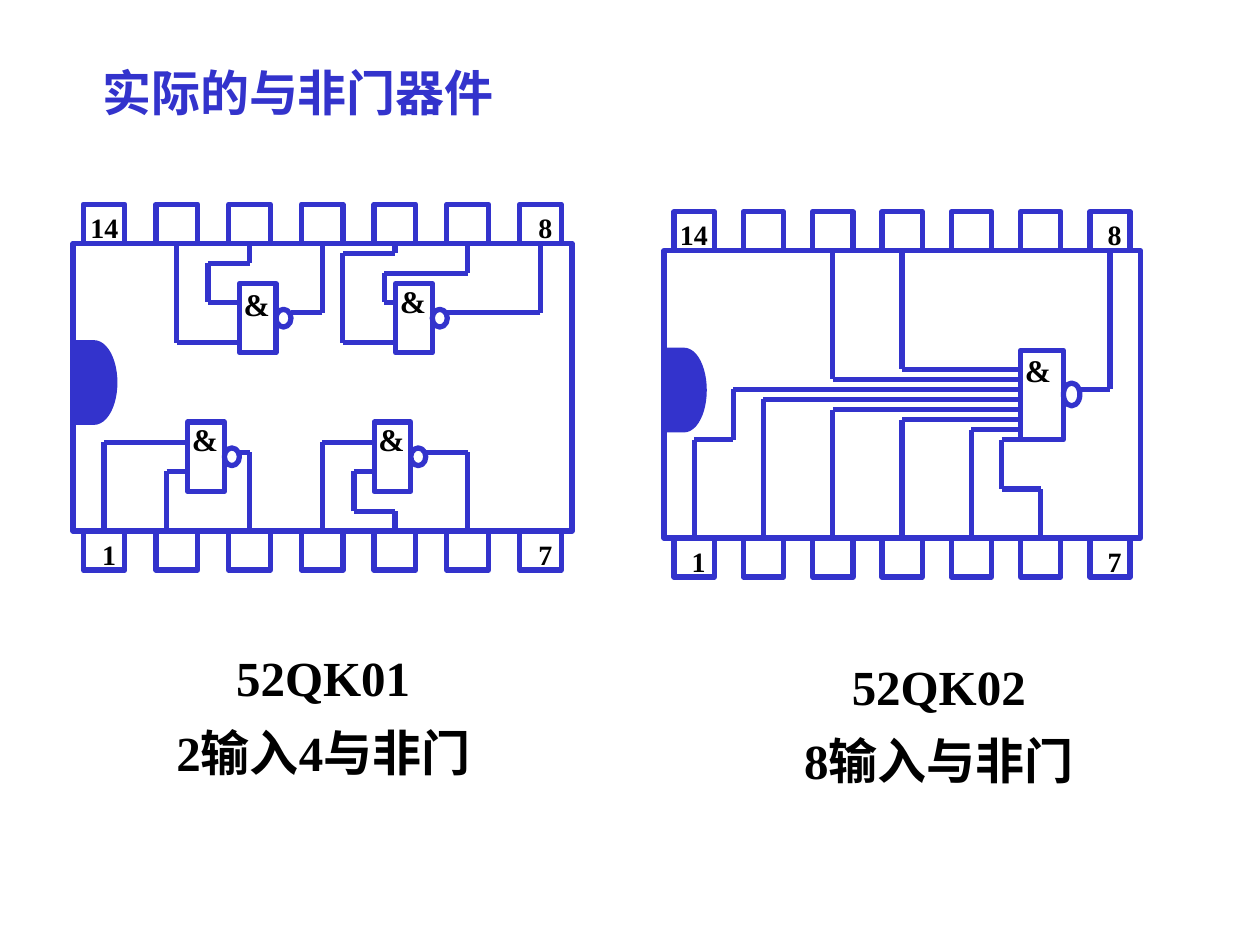
import pptx
import pptx.util
import pptx.dml.color
import pptx.enum.shapes
import pptx.enum.text
import pptx.oxml.ns
import lxml.etree

Pt = pptx.util.Pt
SHAPE = pptx.enum.shapes.MSO_SHAPE
ALIGN = pptx.enum.text.PP_ALIGN
ANCHOR = pptx.enum.text.MSO_ANCHOR
COLORS = {"ink": "3333CC", "text": "000000", "paper": "FFFFFF"}
FONT = "Times New Roman"
PINS_PER_SIDE = 7
PIN_HEIGHT = 22.3

TITLE = ("实际的与非门器件", (38.9, 28.8, 262.8, 47.5))
CAPTIONS = [
    (["52QK01", "2输入4与非门"], (82.1, 366.5, 205.2, 91.4)),
    (["52QK02", "8输入与非门"], (448.6, 371.5, 175.7, 91.4)),
]
CHIPS = [
    {
        "body": (41.8, 139, 285.1, 164.5),
        "notch": (23.8, 45.4),
        "pin_width": 23.8,
        "pitch": 41.55,
        "label_width": 29.5,
        "gate": (20.9, 39.6),
        "bubble": (14.8, 8.6, 10.1),
        "gates": [(107.3, 241.2, 5), (226.1, 162, 4.3),
                  (136.8, 162, 2.9), (213.8, 241.2, 5)],
        "wires": {
            "top": [
                (1, [195.8, 136.8]),
                (2, [150.5, 118.8, 172.8, 136.8]),
                (3, [178.6, 166.3]),
                (4, [144.7, 195.8, 195.8, 226.1]),
                (5, [156.2, 219.6, 172.8, 226.1]),
                (6, [178.6, 255.6]),
            ],
            "bottom": [
                (0, [252.7, 107.3]),
                (0.86, [269.3, 107.3]),
                (2, [258.5, 136.8]),
                (3, [252.7, 213.8]),
                (4, [292.3, 202.3, 269.3, 213.8]),
                (5, [258.5, 243.4]),
            ],
        },
    },
    {
        "body": (379.4, 143.3, 272.2, 164.2),
        "notch": (23, 45.4),
        "pin_width": 23,
        "pitch": 39.6,
        "label_width": 28.1,
        "gate": (24.5, 51.1),
        "bubble": (18.7, 9.4, 13),
        "gates": [(583.2, 200.2, 2.9)],
        "wires": {
            "top": [
                (2, [216.7, 583.2]),
                (3, [211, 583.2]),
                (6, [222.5, 617.8]),
            ],
            "bottom": [
                (0, [251.3, 419, 222.5, 583.2]),
                (1, [228.2, 583.2]),
                (2, [234, 583.2]),
                (3, [239.8, 583.2]),
                (4, [245.5, 583.2]),
                (5, [279.4, 572.4, 251.3, 583.2]),
            ],
        },
    },
]


def rgb(name):
    """Return a named colour."""
    return pptx.dml.color.RGBColor.from_string(COLORS[name])


def write(sp, lines, size, color="text", align=ALIGN.CENTER, anchor=ANCHOR.TOP, gap=9):
    """Put formatted paragraphs into a shape."""
    tf = sp.text_frame
    tf.word_wrap = True
    tf.vertical_anchor = anchor
    for i, line in enumerate(lines):
        p = tf.paragraphs[0] if i == 0 else tf.add_paragraph()
        p.alignment = align
        p.space_before = Pt(gap if i else 0)
        r = p.add_run()
        r.text = line
        for key, value in {"name": FONT, "size": Pt(size), "bold": True}.items():
            setattr(r.font, key, value)
        r.font.color.rgb = rgb(color)


def add_shape(shapes, kind, box, filled=False, line="ink", width=3):
    """Add an outlined preset shape."""
    sp = shapes.add_shape(kind, *map(Pt, box))
    sp.shadow.inherit = False
    if filled:
        sp.fill.solid()
        sp.fill.fore_color.rgb = rgb("ink")
    else:
        sp.fill.background()
    sp.line.color.rgb = rgb(line)
    sp.line.width = Pt(width)
    return sp


def add_label(shapes, text, box, size, align=ALIGN.CENTER):
    """Add a small text box."""
    sp = shapes.add_textbox(*map(Pt, box))
    write(sp, [text], size, align=align)


def add_wire(shapes, x, y, stops):
    """Draw a wire that alternates vertical and horizontal runs."""
    for i, stop in enumerate(stops):
        end = (stop, y) if i % 2 else (x, stop)
        cx = shapes.add_connector(pptx.enum.shapes.MSO_CONNECTOR.STRAIGHT,
                                  *map(Pt, (x, y, *end)))
        cx.line.color.rgb = rgb("ink")
        cx.line.width = Pt(3)
        sp_pr = cx.element.find(pptx.oxml.ns.qn("p:spPr"))
        lxml.etree.SubElement(sp_pr, pptx.oxml.ns.qn("a:effectLst"))
        x, y = end


def add_chip(s, chip):
    """Draw one chip with its pins, gates and wires."""
    shapes = s.shapes.add_group_shape().shapes
    left, top, width, height = chip["body"]
    notch_w, notch_h = chip["notch"]
    pin_w, pitch, label_w = chip["pin_width"], chip["pitch"], chip["label_width"]
    first, last = left + 5.8, left + 5.8 + pitch * (PINS_PER_SIDE - 1)
    edges = {"top": top, "bottom": top + height}
    rows = {"top": top - PIN_HEIGHT, "bottom": top + height}

    add_shape(shapes, SHAPE.RECTANGLE, chip["body"])
    add_shape(shapes, SHAPE.FLOWCHART_DELAY,
              (left, top + 56.9, notch_w, notch_h), filled=True)
    for y in rows.values():
        for i in range(PINS_PER_SIDE):
            add_shape(shapes, SHAPE.RECTANGLE, (first + i * pitch, y, pin_w, PIN_HEIGHT))
    for text, x, row, w in [("1", first, "bottom", label_w), ("7", last, "bottom", label_w),
                            ("14", first - 11.5, "top", label_w + 17.6),
                            ("8", last, "top", label_w)]:
        add_label(shapes, text, (x, rows[row], w, 26.6), 16)

    gate_w, gate_h = chip["gate"]
    drop, bubble_w, bubble_h = chip["bubble"]
    for x, y, rise in chip["gates"]:
        add_shape(shapes, SHAPE.RECTANGLE, (x, y, gate_w, gate_h))
        add_shape(shapes, SHAPE.OVAL, (x + gate_w, y + drop, bubble_w, bubble_h))
    for side, wires in chip["wires"].items():
        for pin, stops in wires:
            add_wire(shapes, first + pin_w / 2 + pin * pitch, edges[side], stops)
    for x, y, rise in chip["gates"]:
        add_label(shapes, "&", (x - 4.7, y - rise, 42.5, 29.5), 18, ALIGN.LEFT)


def main():
    """Build the slide of NAND gate devices."""
    prs = pptx.Presentation()
    prs.slide_width, prs.slide_height = Pt(720), Pt(540)
    s = prs.slides.add_slide(prs.slide_layouts[5])
    text, box = TITLE
    title = s.shapes.title
    for key, value in zip(("left", "top", "width", "height"), box):
        setattr(title, key, Pt(value))
    write(title, [text], 28, "ink", anchor=ANCHOR.MIDDLE)
    for lines, box in CAPTIONS:
        sp = add_shape(s.shapes, SHAPE.RECTANGLE, box, line="paper", width=0.75)
        write(sp, lines, 28)
    for chip in CHIPS:
        add_chip(s, chip)
    prs.save("out.pptx")


if __name__ == "__main__":
    main()
